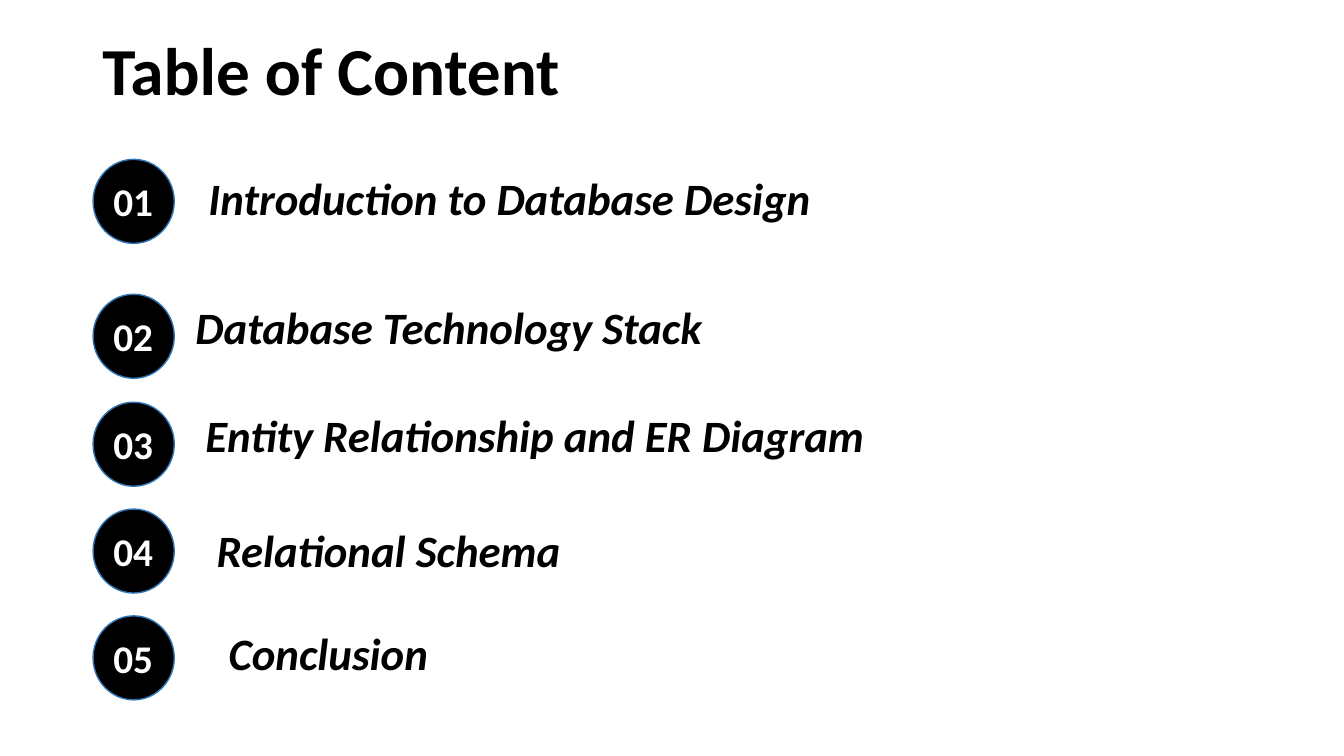
from pptx import Presentation
from pptx.dml.color import RGBColor
from pptx.enum.shapes import MSO_SHAPE
from pptx.enum.text import MSO_ANCHOR
from pptx.util import Pt

TITLE = "Table of Content"
# Topic, circle top, topic left, topic top, topic width
ENTRIES = [
    ("Introduction to Database Design", 113.8, 141.8, 118.1, 549.4),
    ("Database Technology Stack", 210.2, 132.5, 210.2, 665.3),
    ("Entity Relationship and ER Diagram", 287.3, 139.7, 288, 578.2),
    ("Relational Schema", 363.6, 147.6, 370.1, 458.6),
    ("Conclusion", 439.9, 156.2, 443.5, 190.8),
]
COLORS = {"ink": "000000", "number": "FFFFFF", "outline": "2E75B6"}
FONT = "Calibri"
CIRCLE_LEFT, CIRCLE_WIDTH, CIRCLE_HEIGHT = 66.5, 58, 60
NUMBER_LEFT, NUMBER_DROP = 73.8, 9.4


def color(name):
    return RGBColor.from_string(COLORS[name])


def add_text(slide, text, box, size, color_name="ink", italic=None):
    shape = slide.shapes.add_textbox(*map(Pt, box))
    frame = shape.text_frame
    frame.word_wrap = True
    paragraph = frame.paragraphs[0]
    paragraph.text = text
    font = paragraph.font
    font.name, font.size, font.bold, font.italic = FONT, Pt(size), True, italic
    font.color.rgb = color(color_name)
    return frame


def add_circle(slide, top):
    circle = slide.shapes.add_shape(
        MSO_SHAPE.OVAL, Pt(CIRCLE_LEFT), Pt(top), Pt(CIRCLE_WIDTH), Pt(CIRCLE_HEIGHT))
    circle.shadow.inherit = False
    circle.fill.solid()
    circle.fill.fore_color.rgb = color("ink")
    circle.line.color.rgb = color("outline")
    circle.line.width = Pt(1)


def main():
    presentation = Presentation()
    presentation.slide_width, presentation.slide_height = Pt(960), Pt(540)
    slide = presentation.slides.add_slide(presentation.slide_layouts[6])

    title = add_text(slide, TITLE, (66, 0.7, 828, 104.4), 48)
    title.vertical_anchor = MSO_ANCHOR.MIDDLE
    title.paragraphs[0].line_spacing = 0.9

    for number, (topic, top, left, topic_top, width) in enumerate(ENTRIES, 1):
        add_circle(slide, top)
        add_text(slide, f"{number:02}", (NUMBER_LEFT, top + NUMBER_DROP, 51, 41), 28, "number")
        add_text(slide, topic, (left, topic_top, width, 46), 32, italic=True)

    presentation.save("out.pptx")


if __name__ == "__main__":
    main()
